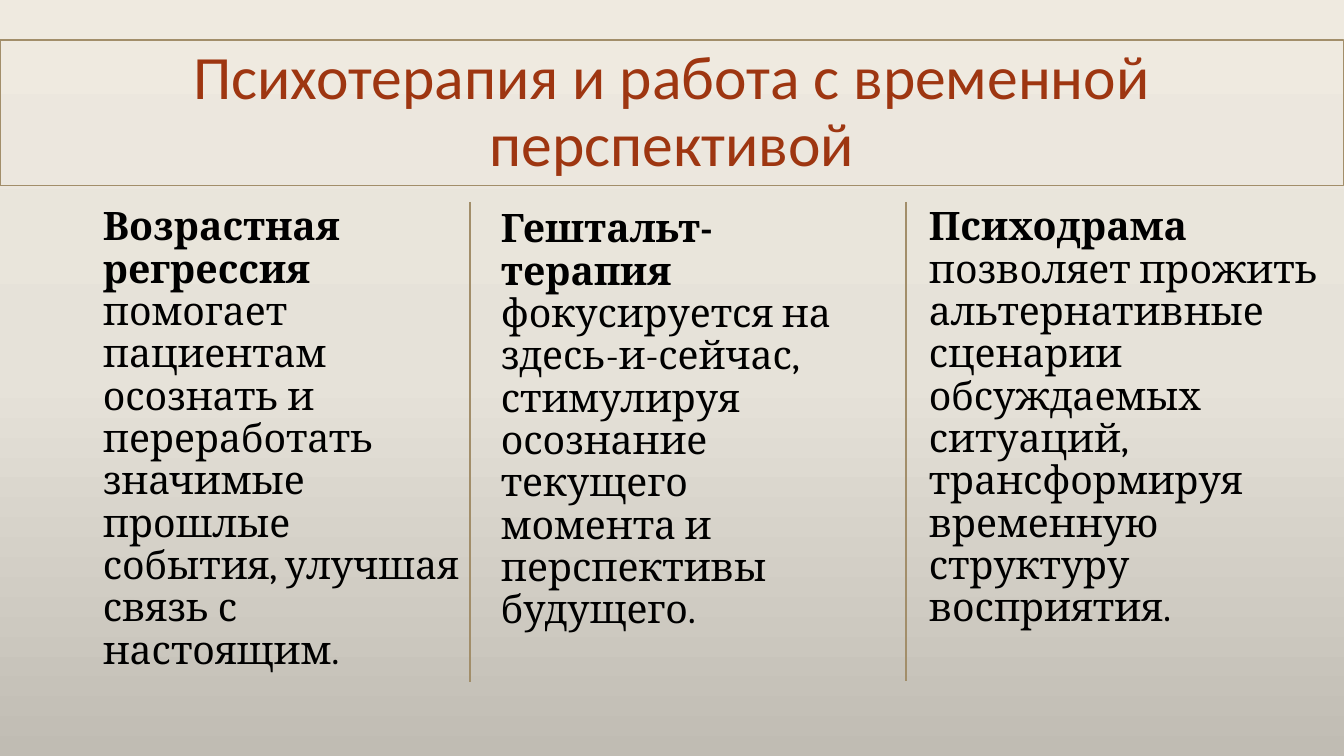
import copy

import pptx
import pptx.dml.color
import pptx.enum.shapes
import pptx.enum.text
import pptx.oxml
import pptx.oxml.ns
import pptx.util

WIDE, HIGH = 1344, 756
SCALE = 12192000 / WIDE
GOLD = "A28E6A"
STOPS = [(0, "EFEAE0"), (0.5, "E6E2D9"), (1, "C0BCB3")]
TITLE = "Психотерапия и работа с временной перспективой"
COLUMNS = [
    ((93, 202, 377, 480), "Возрастная регрессия ",
     "помогает пациентам осознать и переработать значимые прошлые события, улучшая связь с настоящим."),
    ((491, 204, 384, 480), "Гештальт-терапия ",
     "фокусируется на здесь-и-сейчас, стимулируя осознание текущего момента и перспективы будущего."),
    ((919, 202, 425, 480), "Психодрама",
     " позволяет прожить альтернативные сценарии обсуждаемых ситуаций, трансформируя временную структуру восприятия."),
]
RULES = [(470, 202, 480), (906, 202, 479)]


def px(*sizes):
    """Turn pixel lengths into EMU."""
    return [pptx.util.Emu(round(size * SCALE)) for size in sizes]


def color(code):
    """Turn a hex string into a colour."""
    return pptx.dml.color.RGBColor.from_string(code)


def style(para, font, size, code):
    """Set the font and line spacing of a paragraph."""
    para.line_spacing = 0.9
    para.font.name = font
    para.font.size = pptx.util.Pt(size)
    para.font.color.rgb = color(code)


def add_ground(slide):
    """Fill the background with a downward gradient."""
    fill = slide.background.fill
    fill.gradient()
    fill.gradient_angle = 270
    stops = slide.element.find(".//" + pptx.oxml.ns.qn("a:gsLst"))
    stops.append(copy.deepcopy(stops[-1]))
    for stop, (place, code) in zip(fill.gradient_stops, STOPS):
        stop.position = place
        stop.color.rgb = color(code)


def add_title(slide, box):
    """Place the framed title across the slide."""
    frame = slide.shapes.add_shape(pptx.enum.shapes.MSO_SHAPE.RECTANGLE, *px(*box))
    frame.shadow.inherit = False
    frame.fill.background()
    frame.line.color.rgb = color(GOLD)
    frame.line.width = pptx.util.Pt(0.75)
    text = frame.text_frame
    text.word_wrap = True
    text.vertical_anchor = pptx.enum.text.MSO_ANCHOR.MIDDLE
    para = text.paragraphs[0]
    para.text = TITLE
    para.alignment = pptx.enum.text.PP_ALIGN.CENTER
    style(para, "Calibri", 44, "9E3611")


def add_column(slide, box, head, body):
    """Place one method: its bold name, then what it does."""
    text = slide.shapes.add_textbox(*px(*box)).text_frame
    text.word_wrap = True
    para = text.paragraphs[0]
    for words, bold in ((head, True), (body, False)):
        run = para.add_run()
        run.text = words
        run.font.bold = bold
    style(para, "Cambria", 28, "000000")


def add_rule(slide, left, top, height):
    """Draw an upright rule between two columns."""
    rule = slide.shapes.add_connector(
        pptx.enum.shapes.MSO_CONNECTOR.STRAIGHT, *px(left, top, left, top + height))
    rule.line.color.rgb = color(GOLD)
    rule.line.width = pptx.util.Pt(1.5)
    pptx.oxml.ns.qn("a:effectLst")
    rule.element.spPr.append(
        pptx.oxml.parse_xml(f"<a:effectLst {pptx.oxml.ns.nsdecls('a')}/>"))


def main():
    """Build the slide and save it."""
    deck = pptx.Presentation()
    deck.slide_width, deck.slide_height = px(WIDE, HIGH)
    slide = deck.slides.add_slide(deck.slide_layouts[6])
    add_ground(slide)
    add_title(slide, (0, 40, WIDE, 146))
    for box, head, body in COLUMNS:
        add_column(slide, box, head, body)
    for rule in RULES:
        add_rule(slide, *rule)
    deck.save("out.pptx")


if __name__ == "__main__":
    main()
